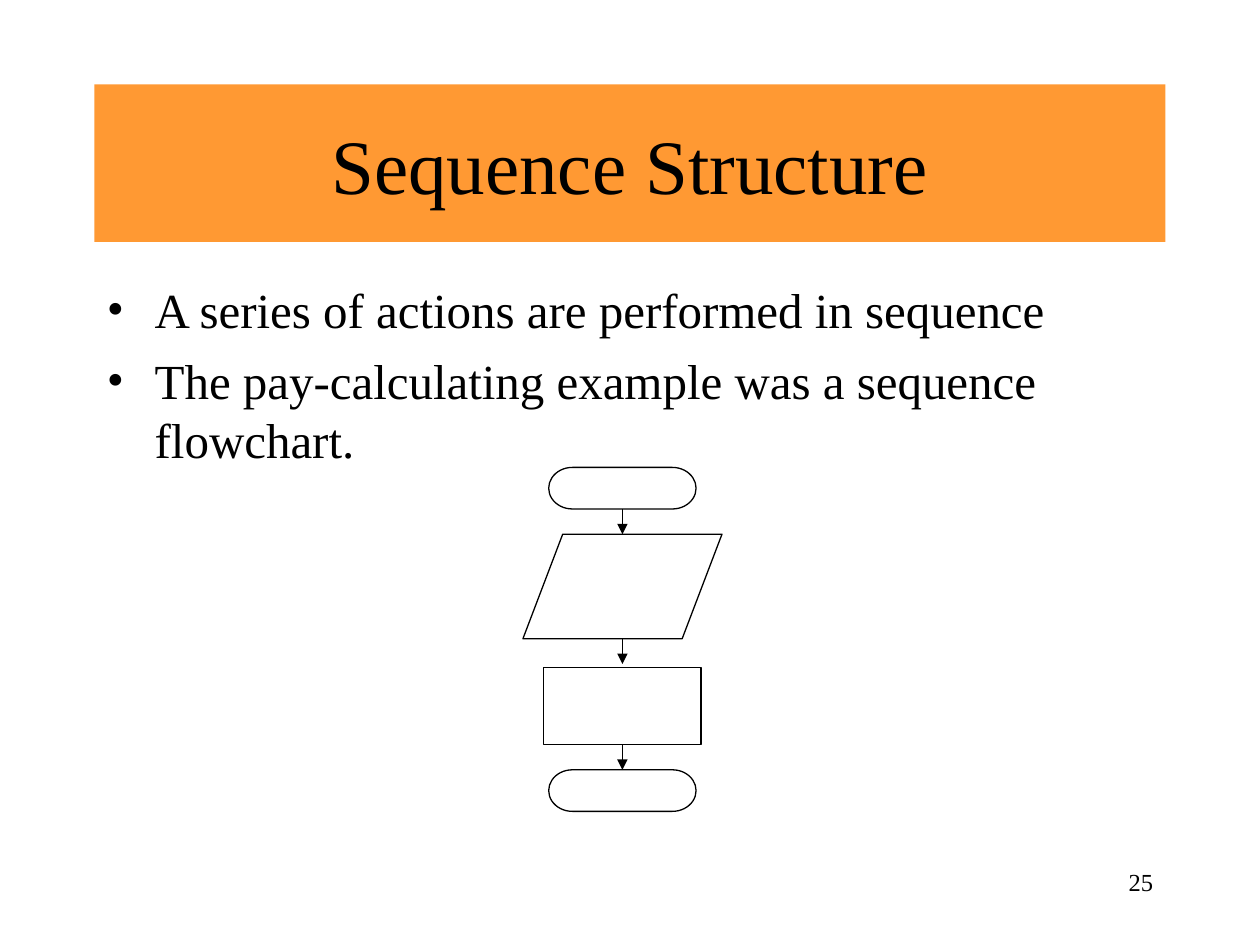
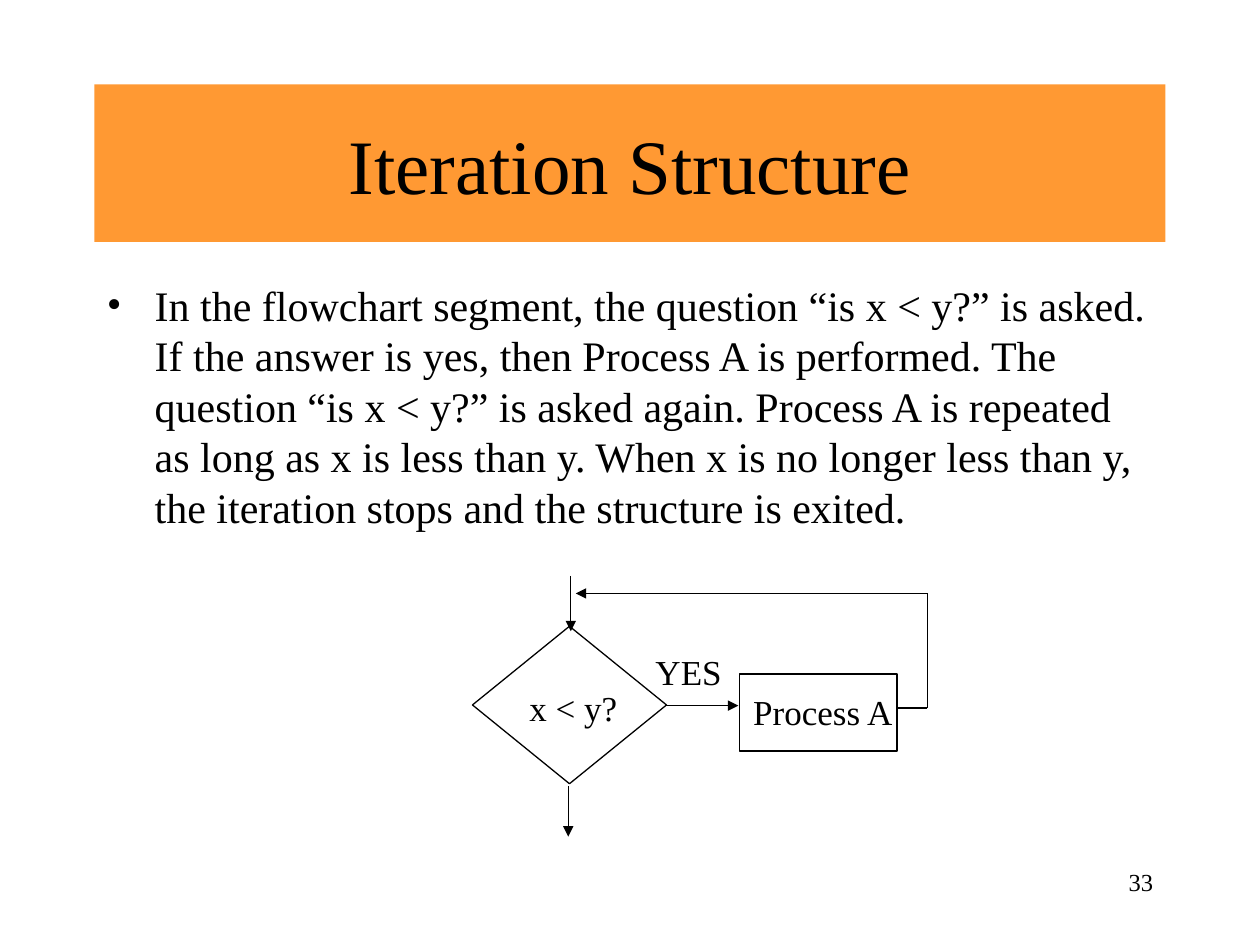
import pptx
import pptx.dml.color
import pptx.enum.shapes
import pptx.enum.text
import pptx.oxml.ns
import pptx.util
from lxml import etree

Inches = pptx.util.Inches
Pt = pptx.util.Pt
Shape = pptx.enum.shapes.MSO_SHAPE
Align = pptx.enum.text.PP_ALIGN
Anchor = pptx.enum.text.MSO_ANCHOR

FONT = "Times New Roman"
COLOURS = {"ink": "000000", "band": "FF9933"}
LEFT, WIDTH = 0.75, 8.5
BULLET_INDENT = 0.38


def colour(name):
    return pptx.dml.color.RGBColor.from_string(COLOURS[name])


def add_element(parent, tag, **attributes):
    return etree.SubElement(parent, pptx.oxml.ns.qn(tag), attributes)


class Deck:
    def __init__(self):
        self.presentation = pptx.Presentation()
        self.presentation.slide_width = Inches(10)
        self.presentation.slide_height = Inches(7.5)
        self.slide = None

    def start_slide(self, title, number):
        layout = self.presentation.slide_layouts[6]
        self.slide = self.presentation.slides.add_slide(layout)
        self.text(number, 7.17, 6.83, 2.08, 0.5, 14, Align.RIGHT)
        band = self.shape(Shape.RECTANGLE, LEFT, 0.67, WIDTH, 1.25, "band")
        band.text_frame.vertical_anchor = Anchor.MIDDLE
        self.style(band.text_frame.paragraphs[0], title, 44, Align.CENTER)

    def style(self, paragraph, text, size, alignment):
        paragraph.text = text
        paragraph.alignment = alignment
        paragraph.font.name = FONT
        paragraph.font.size = Pt(size)
        paragraph.font.color.rgb = colour("ink")

    def text_frame(self, left, top, width, height):
        box = self.slide.shapes.add_textbox(
            Inches(left), Inches(top), Inches(width), Inches(height))
        box.text_frame.word_wrap = True
        return box.text_frame

    def text(self, text, left, top, width, height, size, alignment=Align.CENTER):
        frame = self.text_frame(left, top, width, height)
        self.style(frame.paragraphs[0], text, size, alignment)

    def bullets(self, items, size):
        frame = self.text_frame(LEFT, 2.17, WIDTH, 4.5)
        for index, item in enumerate(items):
            paragraph = frame.add_paragraph() if index else frame.paragraphs[0]
            if index:
                paragraph.space_before = Pt(size / 4)
            properties = paragraph._p.get_or_add_pPr()
            properties.set("marL", str(Inches(BULLET_INDENT)))
            properties.set("indent", str(Inches(-BULLET_INDENT)))
            add_element(properties, "a:buFont", typeface=FONT)
            add_element(properties, "a:buChar", char="•")
            self.style(paragraph, item, size, Align.LEFT)

    def shape(self, kind, left, top, width, height, fill=None):
        """Add a filled shape without outline, or an outlined one without fill."""
        shape = self.slide.shapes.add_shape(
            kind, Inches(left), Inches(top), Inches(width), Inches(height))
        shape.shadow.inherit = False
        if fill:
            shape.fill.solid()
            shape.fill.fore_color.rgb = colour(fill)
            shape.line.fill.background()
        else:
            shape.fill.background()
            self.outline(shape)
        return shape

    def outline(self, shape):
        shape.line.color.rgb = colour("ink")
        shape.line.width = Pt(0.75)

    def line(self, start, end, arrow=True):
        connector = self.slide.shapes.add_connector(
            pptx.enum.shapes.MSO_CONNECTOR.STRAIGHT,
            *(Inches(value) for value in (*start, *end)))
        self.outline(connector)
        if arrow:
            add_element(connector.line._get_or_add_ln(), "a:tailEnd", type="triangle")
        add_element(connector._element.spPr, "a:effectLst")


def sequence_slide(deck):
    deck.start_slide("Sequence Structure", "25")
    deck.bullets([
        "A series of actions are performed in sequence",
        "The pay-calculating example was a sequence flowchart.",
    ], 28)
    axis = 4.94
    steps = [
        (Shape.FLOWCHART_TERMINATOR, 3.71, 1.17, 0.33),
        (Shape.FLOWCHART_DATA, 4.24, 1.58, 0.83),
        (Shape.RECTANGLE, 5.3, 1.25, 0.61),
        (Shape.FLOWCHART_TERMINATOR, 6.11, 1.17, 0.33),
    ]
    for kind, top, width, height in steps:
        deck.shape(kind, axis - width / 2, top, width, height)
    for _, top, _, height in steps[:-1]:
        bottom = top + height
        deck.line((axis, bottom), (axis, bottom + 0.2))


def iteration_slide(deck):
    deck.start_slide("Iteration Structure", "33")
    deck.bullets([
        "In the flowchart segment, the question “is x < y?” is asked. "
        "If the answer is yes, then Process A is performed. "
        "The question “is x < y?” is asked again. "
        "Process A is repeated as long as x is less than y. "
        "When x is no longer less than y, the iteration stops "
        "and the structure is exited.",
    ], 24)
    deck.shape(Shape.FLOWCHART_DECISION, 3.75, 4.97, 1.54, 1.25)
    deck.shape(Shape.RECTANGLE, 5.87, 5.35, 1.25, 0.61)

    loop_right, loop_top, loop_bottom = 7.36, 4.71, 5.62
    deck.line((4.53, 4.57), (4.53, 5.01))
    deck.line((4.51, 6.24), (4.51, 6.64))
    deck.line((5.28, 5.6), (5.86, 5.6))
    deck.line((7.12, loop_bottom), (loop_right, loop_bottom), arrow=False)
    deck.line((loop_right, loop_bottom), (loop_right, loop_top), arrow=False)
    deck.line((loop_right, loop_top), (4.57, loop_top))

    for label, left, top, width in [
        ("x < y?", 4.03, 5.4, 1.04),
        ("Process A", 5.82, 5.43, 1.42),
        ("YES", 5.04, 5.11, 0.85),
    ]:
        deck.text(label, left, top, width, 0.44, 20)


def main():
    deck = Deck()
    sequence_slide(deck)
    iteration_slide(deck)
    deck.presentation.save("out.pptx")


if __name__ == "__main__":
    main()
